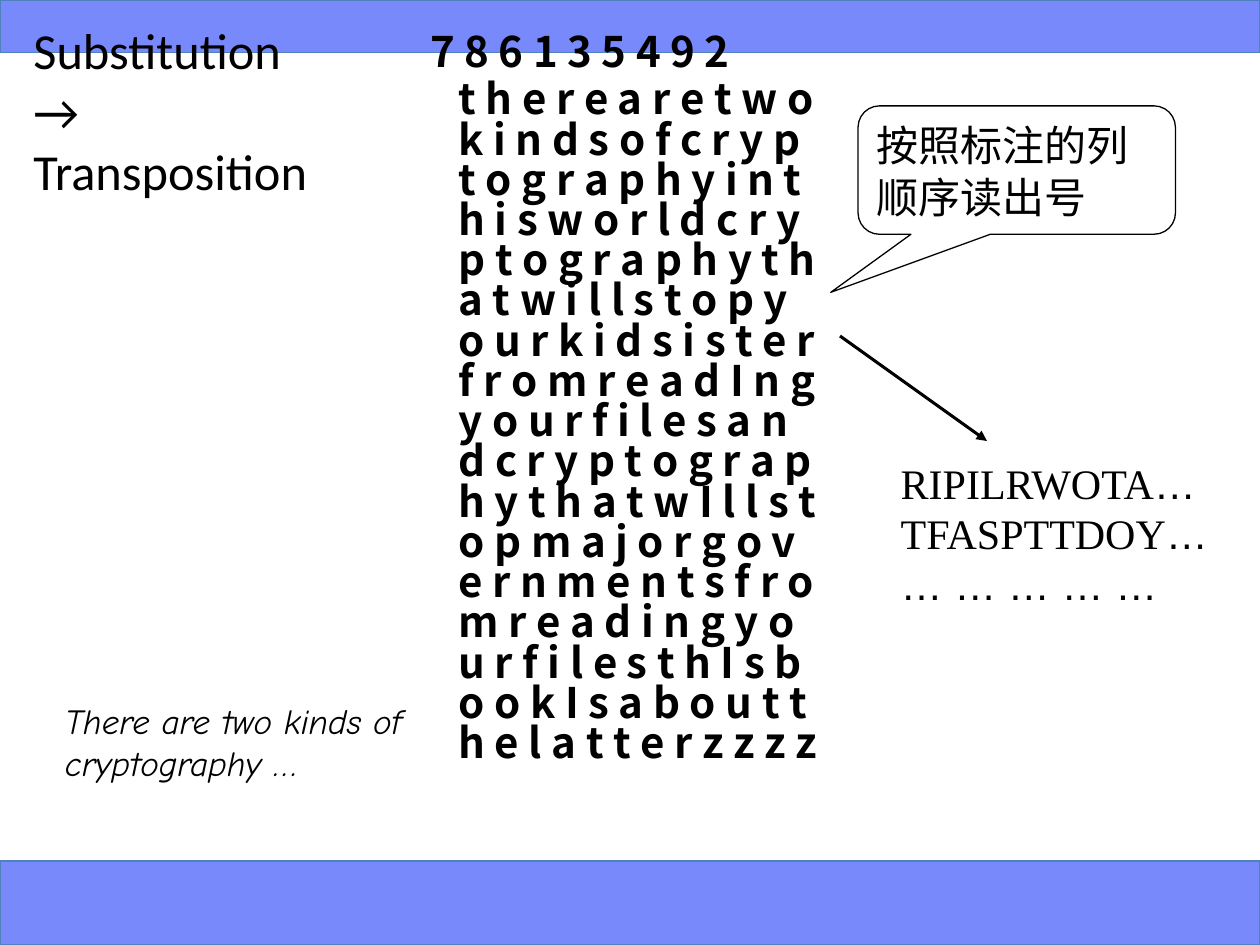
from pptx import Presentation
from pptx.dml.color import RGBColor
from pptx.enum.shapes import MSO_CONNECTOR, MSO_SHAPE
from pptx.enum.text import MSO_ANCHOR
from pptx.oxml.ns import qn
from pptx.util import Pt
from lxml.etree import SubElement

BLACK = RGBColor(0x00, 0x00, 0x00)
BAND_FILL = RGBColor(0x78, 0x89, 0xFB)
BAND_LINE = RGBColor(0x4F, 0x81, 0xBD)

SANS = "Calibri"
CJK = "Noto Sans CJK SC"
SERIF = "Times New Roman"
ARIAL = "Arial"
COMIC = "Comic Neue"

COLUMN_ORDER = "786135492"
MESSAGE = (
    "therearetwokindsofcryptographyinthisworldcryptographythatwillstopyour"
    "kidsisterfromreadIngyourfilesandcryptographythatwIllstopmajorgovernments"
    "fromreadingyourfilesthIsbookIsaboutthelatterzzzz"
)


def add_run(p, text, font, size, bold=None, italic=None):
    r = p.add_run()
    r.text = text
    r.font.name = font
    r.font.size = Pt(size)
    r.font.bold = bold
    r.font.italic = italic
    r.font.color.rgb = BLACK
    return r


def add_text_box(s, left, top, width, height, anchor=MSO_ANCHOR.TOP):
    tf = s.shapes.add_textbox(Pt(left), Pt(top), Pt(width), Pt(height)).text_frame
    tf.word_wrap = True
    tf.vertical_anchor = anchor
    return tf


def add_band(s, top, height):
    sp = s.shapes.add_shape(MSO_SHAPE.RECTANGLE, 0, Pt(top), Pt(720), Pt(height))
    sp.shadow.inherit = False
    sp.fill.solid()
    sp.fill.fore_color.rgb = BAND_FILL
    sp.line.color.rgb = BAND_LINE
    sp.line.width = Pt(0.75)


def add_title(s, lines):
    tf = add_text_box(s, 12, 12, 708, 102, MSO_ANCHOR.MIDDLE)
    p = tf.paragraphs[0]
    for i, line in enumerate(lines):
        if i:
            p.add_line_break()
        add_run(p, line, SANS, 28.8)


def add_cipher(s):
    """Column numbers, then the message wrapped beneath them."""
    tf = add_text_box(s, 228, 15, 249, 525)
    tf.margin_top = Pt(5.4)
    rows = ((COLUMN_ORDER, 10.8, 0), (MESSAGE, 27, 4))
    for i, (letters, indent, before) in enumerate(rows):
        p = tf.add_paragraph() if i else tf.paragraphs[0]
        p.line_spacing = Pt(23)
        p.space_before = Pt(before)
        pPr = p._p.get_or_add_pPr()
        pPr.set("marL", str(Pt(indent)))
        pPr.set("indent", "0")
        add_run(p, " ".join(letters), CJK, 24, bold=True)


def add_callout(s, text):
    sp = s.shapes.add_shape(MSO_SHAPE.ROUNDED_RECTANGULAR_CALLOUT,
                            Pt(490.3), Pt(60.5), Pt(181.4), Pt(73.4))
    for i, value in enumerate((-0.586, 0.952, 0.167)):
        sp.adjustments[i] = value
    sp.shadow.inherit = False
    sp.fill.background()
    sp.line.color.rgb = BLACK
    sp.line.width = Pt(0.75)
    tf = sp.text_frame
    tf.word_wrap = True
    tf.vertical_anchor = MSO_ANCHOR.MIDDLE
    p = tf.paragraphs[0]
    p.alignment = 1
    p.line_spacing = Pt(29.7)
    add_run(p, text, SERIF, 24)


def add_plaintext(s, text):
    tf = add_text_box(s, 30, 396, 221, 55.4)
    add_run(tf.paragraphs[0], text, COMIC, 20, italic=True)


def add_ciphertext(s, lines):
    tf = add_text_box(s, 507.6, 257.8, 212.4, 93.6)
    for i, runs in enumerate(lines):
        p = tf.add_paragraph() if i else tf.paragraphs[0]
        for text, font in runs:
            add_run(p, text, font, 24)


def add_arrow(s, x1, y1, x2, y2):
    c = s.shapes.add_connector(MSO_CONNECTOR.STRAIGHT, Pt(x1), Pt(y1), Pt(x2), Pt(y2))
    c.line.color.rgb = BLACK
    c.line.width = Pt(1.75)
    SubElement(c.line._get_or_add_ln(), qn("a:tailEnd"), type="triangle")
    SubElement(c._element.spPr, qn("a:effectLst"))


def main():
    prs = Presentation()
    prs.slide_width, prs.slide_height = Pt(720), Pt(540)
    s = prs.slides.add_slide(prs.slide_layouts[6])

    add_band(s, 492, 48)
    add_band(s, 0, 30)
    add_title(s, ("Substitution", "→", "Transposition"))
    add_cipher(s)
    add_callout(s, "按照标注的列顺序读出号")
    add_plaintext(s, "There are two kinds of cryptography …")
    add_ciphertext(s, (
        (("RIPILRWOTA", SERIF), ("…", ARIAL)),
        (("TFASPTTDOY", SERIF), ("…", ARIAL)),
        (("… … … … …", ARIAL),),
    ))
    add_arrow(s, 480, 192, 564, 252)

    prs.save("out.pptx")


if __name__ == "__main__":
    main()
